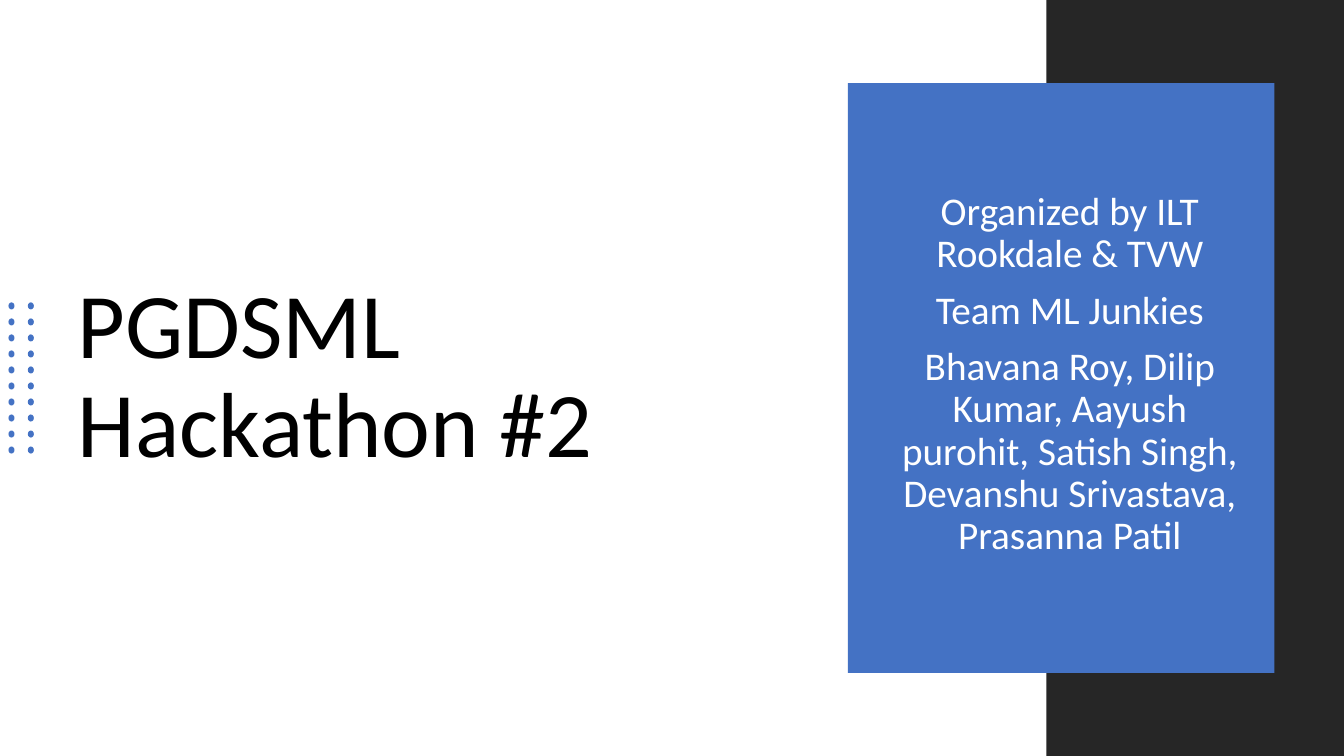
from itertools import product
from pptx import Presentation, util as u
from pptx.dml.color import RGBColor
from pptx.enum import shapes, text

FONT, BLUE, DARK, BLACK, WHITE = "Calibri", "4472C4", "262626", "000000", "FFFFFF"
TITLE = ["PGDSML Hackathon #2"]
TEAM = [
    "Organized by ILT Rookdale & TVW",
    "Team ML Junkies",
    "Bhavana Roy, Dilip Kumar, Aayush purohit, Satish Singh, "
    "Devanshu Srivastava, Prasanna Patil",
]


def color(code):
    return RGBColor.from_string(code)


def part(box, left, top, width, height):
    """Turn shares of a box into a box in inches."""
    x, y, w, h = box
    return x + left * w, y + top * h, width * w, height * h


def add_fill(slide, kind, box, code):
    shape = slide.shapes.add_shape(kind, *map(u.Inches, box))
    shape.shadow.inherit = False
    shape.fill.solid()
    shape.fill.fore_color.rgb = color(code)
    shape.line.fill.background()


def add_text(slide, box, lines, size, code, align, before=0):
    frame = slide.shapes.add_textbox(*map(u.Inches, box)).text_frame
    frame.word_wrap = True
    frame.vertical_anchor = text.MSO_ANCHOR.MIDDLE
    frame.text = "\n".join(lines)
    for para in frame.paragraphs:
        para.alignment = align
        para.line_spacing = 0.9
        para.space_before = u.Pt(before)
        para.font.name = FONT
        para.font.size = u.Pt(size)
        para.font.color.rgb = color(code)


def add_dots(slide, box, cols=2, rows=10):
    x, y, w, h = box
    wide, tall = 0.06, 0.07
    across, down = (w - wide) / (cols - 1), (h - tall) / (rows - 1)
    for col, row in product(range(cols), range(rows)):
        dot = x + col * across, y + row * down, wide, tall
        add_fill(slide, shapes.MSO_SHAPE.OVAL, dot, BLUE)


def add_title(slide, box):
    add_text(slide, part(box, 0.08, 0.15, 0.84, 0.7), TITLE, 66, BLACK,
             text.PP_ALIGN.LEFT)
    add_dots(slide, part(box, 0.01, 0.4, 0.03, 0.2))


def add_panel(slide, box):
    rect = shapes.MSO_SHAPE.RECTANGLE
    add_fill(slide, rect, part(box, 0.4, 0, 0.6, 1), DARK)
    card = part(box, 0, 0.11, 0.86, 0.78)
    add_fill(slide, rect, card, BLUE)
    add_text(slide, part(card, 0.08, 0.04, 0.88, 0.91), TEAM, 28, WHITE,
             text.PP_ALIGN.CENTER, before=10)


# Slide
deck = Presentation()
wide, high = 13.33, 7.5
deck.slide_width, deck.slide_height = u.Inches(wide), u.Inches(high)
slide = deck.slides.add_slide(deck.slide_layouts[6])

# Title on the left, team card on the right
split = 8.41
add_title(slide, (0, 0, split, high))
add_panel(slide, (split, 0, wide - split, high))

deck.save("out.pptx")
